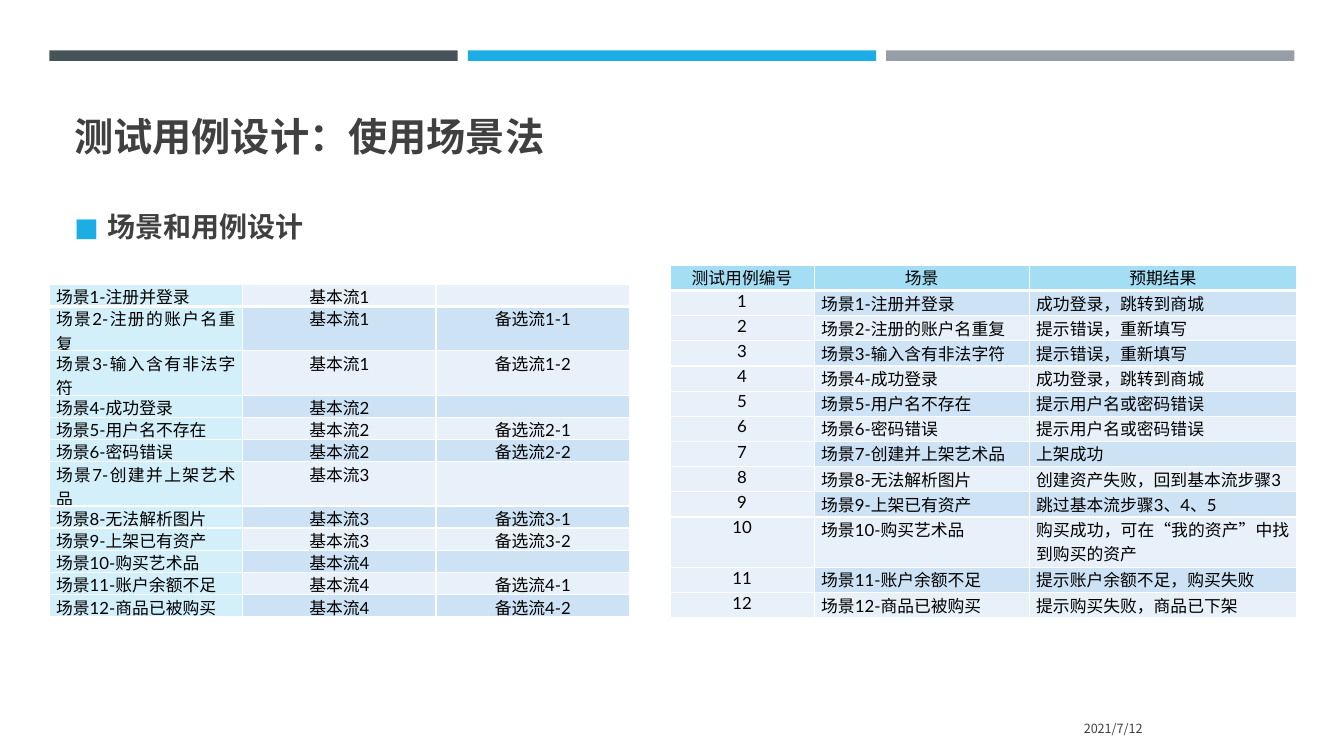
import pptx
import pptx.util
import pptx.dml.color
import pptx.enum.shapes
import pptx.enum.text
import pptx.oxml
import pptx.oxml.ns
import lxml.etree

Pt = pptx.util.Pt
Align = pptx.enum.text.PP_ALIGN
Anchor = pptx.enum.text.MSO_ANCHOR
qn = pptx.oxml.ns.qn

# Scenario, basic flow, alternative flow, expected result
SCENARIOS = [
    ("注册并登录", "1", "", "成功登录，跳转到商城"),
    ("注册的账户名重复", "1", "1-1", "提示错误，重新填写"),
    ("输入含有非法字符", "1", "1-2", "提示错误，重新填写"),
    ("成功登录", "2", "", "成功登录，跳转到商城"),
    ("用户名不存在", "2", "2-1", "提示用户名或密码错误"),
    ("密码错误", "2", "2-2", "提示用户名或密码错误"),
    ("创建并上架艺术品", "3", "", "上架成功"),
    ("无法解析图片", "3", "3-1", "创建资产失败，回到基本流步骤3"),
    ("上架已有资产", "3", "3-2", "跳过基本流步骤3、4、5"),
    ("购买艺术品", "4", "", "购买成功，可在“我的资产”中找到购买的资产"),
    ("账户余额不足", "4", "4-1", "提示账户余额不足，购买失败"),
    ("商品已被购买", "4", "4-2", "提示购买失败，商品已下架"),
]


def rgb(value):
    return pptx.dml.color.RGBColor.from_string(value)


def add_element(parent, tag, **attributes):
    return lxml.etree.SubElement(parent, qn(tag), attributes)


def write(tf, text, size=12, font="Noto Sans CJK SC", color="404040", bold=False,
          align=Align.LEFT, bullet=None):
    """Fill the first paragraph; an empty text only fixes the line height."""
    p = tf.paragraphs[0]
    p.alignment = align
    if bullet:
        pPr = p._p.get_or_add_pPr()
        pPr.set("marL", str(pptx.util.Inches(0.33)))
        pPr.set("indent", str(-pptx.util.Inches(0.33)))
        add_element(add_element(pPr, "a:buClr"), "a:srgbClr", val=bullet)
        add_element(pPr, "a:buSzPct", val="92000")
        add_element(pPr, "a:buFont", typeface="Lato")
        add_element(pPr, "a:buChar", char="■")
        p.line_spacing = 1.1
        p.space_after = Pt(6)
    if not text:
        add_element(p._p, "a:endParaRPr", sz=str(size * 100))
        return
    r = p.add_run()
    r.text = text
    r.font.size = Pt(size)
    r.font.bold = bold
    r.font.name = font
    r.font.color.rgb = rgb(color)
    add_element(r._r.get_or_add_rPr(), "a:ea", typeface="Noto Sans CJK SC")


class Deck:
    """Style and current slide; lengths are percentages of the slide's size."""

    dark, blue, grey = "465359", "1CADE4", "969FA7"
    header, label = "A4DEF4", "D2EFFA"
    bands = ("E8F1FA", "CDE3F5")
    border = "FFFFFF"

    def __init__(self):
        self.prs = pptx.Presentation()
        self.prs.slide_width = pptx.util.Inches(13.33)
        self.prs.slide_height = pptx.util.Inches(7.5)
        self.s = self.prs.slides.add_slide(self.prs.slide_layouts[6])

    def x(self, share):
        return int(self.prs.slide_width * share / 100)

    def y(self, share):
        return int(self.prs.slide_height * share / 100)

    def box(self, left, top, width, height):
        return self.x(left), self.y(top), self.x(width), self.y(height)

    def bar(self, left, top, width, height, color):
        kind = pptx.enum.shapes.MSO_SHAPE.RECTANGLE
        sp = self.s.shapes.add_shape(kind, *self.box(left, top, width, height))
        sp.shadow.inherit = False
        sp.fill.solid()
        sp.fill.fore_color.rgb = rgb(color)
        sp.line.fill.background()

    def text(self, left, top, width, height, text, anchor=Anchor.TOP, **style):
        sp = self.s.shapes.add_textbox(*self.box(left, top, width, height))
        tf = sp.text_frame
        tf.word_wrap = True
        tf.vertical_anchor = anchor
        write(tf, text, **style)

    def table(self, left, top, widths, heights, rows, aligns, fill_of):
        """Draw rows of text; fill_of(row, column) gives each cell's colour."""
        frame = self.s.shapes.add_table(
            len(rows), len(widths), *self.box(left, top, sum(widths), sum(heights)))
        table = frame.table
        table.first_row = table.horz_banding = False
        for column, width in zip(table.columns, widths):
            column.width = self.x(width)
        for i, (row, height) in enumerate(zip(rows, heights)):
            table.rows[i].height = self.y(height)
            for j, text in enumerate(row):
                align = Align.CENTER if fill_of(i, j) == self.header else aligns[j]
                self.cell(table.cell(i, j), text, align, fill_of(i, j), 3 if i == 0 else 1)

    def cell(self, cell, text, align, fill, bottom):
        cell.margin_left = cell.margin_right = pptx.util.Inches(0.07)
        cell.margin_top = cell.margin_bottom = 0
        tcPr = cell._tc.get_or_add_tcPr()
        for side, width in (("L", 1), ("R", 1), ("T", 1), ("B", bottom)):
            line = add_element(tcPr, "a:ln" + side, w=str(Pt(width)))
            add_element(add_element(line, "a:solidFill"), "a:srgbClr", val=self.border)
        cell.fill.solid()
        cell.fill.fore_color.rgb = rgb(fill)
        write(cell.text_frame, text, font="Lato", color="000000", align=align)


def main():
    deck = Deck()
    for i, color in enumerate((deck.dark, deck.blue, deck.grey)):
        deck.bar(3.68 + 31.13 * i, 6.67, 30.38, 1.4, color)

    deck.text(4.8, 10.27, 90.47, 11.47, "测试用例设计：使用场景法",
              anchor=Anchor.BOTTOM, size=28, bold=True)
    deck.text(62.42, 93.73, 23.33, 5.33, "2021/7/12",
              anchor=Anchor.MIDDLE, size=9, align=Align.RIGHT)
    deck.text(4.8, 26.67, 24.75, 6, "场景和用例设计", size=20, bold=True, bullet=deck.blue)

    names = [f"场景{n}-{row[0]}" for n, row in enumerate(SCENARIOS, 1)]
    flows = [(name, f"基本流{basic}", f"备选流{other}" if other else "")
             for name, (_, basic, other, _) in zip(names, SCENARIOS)]
    deck.table(3.65, 37.6, [14.4] * 3,
               [5.87 if i in (1, 2, 6) else 2.93 for i in range(len(flows))],
               flows, (Align.JUSTIFY, Align.CENTER, Align.CENTER),
               lambda i, j: deck.label if j == 0 else deck.bands[i % 2])

    cases = [("测试用例编号", "场景", "预期结果")]
    cases += [(str(n), name, row[3])
              for n, (name, row) in enumerate(zip(names, SCENARIOS), 1)]

    def case_fill(i, j):
        if i == 0:
            return deck.header
        return deck.bands[0] if j == 0 else deck.bands[i % 2]

    deck.table(49.85, 35.1, [10.73, 16, 19.9],
               [6.67 if i == 10 else 3.33 for i in range(len(cases))],
               cases, (Align.CENTER, Align.JUSTIFY, Align.JUSTIFY), case_fill)

    deck.prs.save("out.pptx")


if __name__ == "__main__":
    main()
